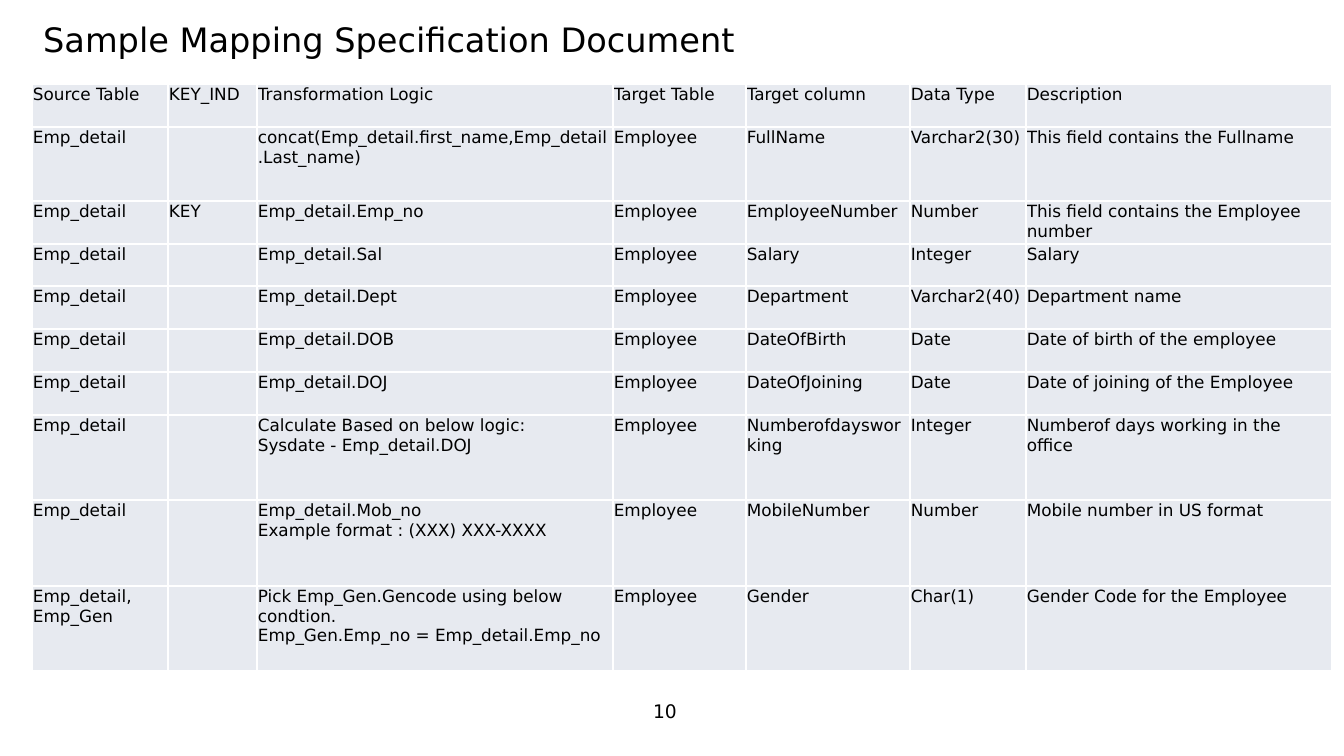
import pptx
import pptx.util
import pptx.dml.color
import pptx.enum.text
import pptx.oxml

SCALE = 914400 / 134.4
HUES = {"ink": "000000", "cell": "E7EAF0", "rule": "FFFFFF"}
FACE = "DejaVu Sans"
MID = pptx.enum.text.MSO_ANCHOR.MIDDLE
COLS = [136, 89, 356, 133, 164, 116, 306]
ROWS = [43, 74, 43, 42, 43, 43, 43, 85, 86, 85]
HEAD = ["Source Table", "KEY_IND", "Transformation Logic", "Target Table",
        "Target column", "Data Type", "Description"]
SRC = "Emp_detail"
MAPS = [
    (SRC, "", "concat(Emp_detail.first_name,Emp_detail.Last_name)",
     "FullName", "Varchar2(30)", "This field contains the Fullname"),
    (SRC, "KEY", "Emp_detail.Emp_no",
     "EmployeeNumber", "Number", "This field contains the Employee number"),
    (SRC, "", "Emp_detail.Sal", "Salary", "Integer", "Salary"),
    (SRC, "", "Emp_detail.Dept",
     "Department", "Varchar2(40)", "Department name"),
    (SRC, "", "Emp_detail.DOB",
     "DateOfBirth", "Date", "Date of birth of the employee"),
    (SRC, "", "Emp_detail.DOJ",
     "DateOfJoining", "Date", "Date of joining of the Employee"),
    (SRC, "", "Calculate Based on below logic:\vSysdate - Emp_detail.DOJ",
     "Numberofdaysworking", "Integer", "Numberof days working in the office"),
    (SRC, "", "Emp_detail.Mob_no \vExample format : (XXX) XXX-XXXX",
     "MobileNumber", "Number", "Mobile number in US format"),
    ("Emp_detail, Emp_Gen", "",
     "Pick Emp_Gen.Gencode using below condtion.\v"
     "Emp_Gen.Emp_no = Emp_detail.Emp_no",
     "Gender", "Char(1)", "Gender Code for the Employee"),
]


def px(size):
    return pptx.util.Emu(round(size * SCALE))


def tint(name):
    return pptx.dml.color.RGBColor.from_string(HUES[name])


def apply(item, form):
    for name, value in form.items():
        setattr(item, name, value)


def write(frame, text, size):
    frame.text = text
    font = {"name": FACE, "size": pptx.util.Pt(size)}
    for para in frame.paragraphs:
        apply(para.font, font)
        for run in para.runs:
            apply(run.font, font)
            run.font.color.rgb = tint("ink")


def label(slide, box, text, size, form):
    frame = slide.shapes.add_textbox(*map(px, box)).text_frame
    apply(frame, {"word_wrap": True, **form})
    write(frame, text, size)


def edge(cell):
    props = cell._tc.get_or_add_tcPr()
    space = pptx.oxml.ns.nsdecls("a")
    for at, side in enumerate(("lnL", "lnR", "lnT", "lnB")):
        props.insert(at, pptx.oxml.parse_xml(
            f'<a:{side} {space} w="12700"><a:solidFill>'
            f'<a:srgbClr val="{HUES["rule"]}"/></a:solidFill></a:{side}>'))


def fill(cell, text):
    apply(cell, {"margin_left": px(1), "margin_right": px(1),
                 "margin_top": px(1), "margin_bottom": 0})
    cell.fill.solid()
    cell.fill.fore_color.rgb = tint("cell")
    write(cell.text_frame, text, 9)
    edge(cell)


def grid(slide, left, top):
    data = [HEAD] + [[*row[:3], "Employee", *row[3:]] for row in MAPS]
    box = (left, top, sum(COLS), sum(ROWS))
    table = slide.shapes.add_table(len(ROWS), len(COLS), *map(px, box)).table
    apply(table, {"first_row": False, "horz_banding": False})
    for col, wide in zip(table.columns, COLS):
        col.width = px(wide)
    for row, tall, texts in zip(table.rows, ROWS, data):
        row.height = px(tall)
        for cell, text in zip(row.cells, texts):
            fill(cell, text)


def main():
    deck = pptx.Presentation()
    apply(deck, {"slide_width": px(1344), "slide_height": px(756)})
    slide = deck.slides.add_slide(deck.slide_layouts[6])
    label(slide, (640, 695, 64, 32), "10", 10, {"vertical_anchor": MID})
    label(slide, (30, 13, 1286, 52), "Sample Mapping Specification Document",
          18, {"vertical_anchor": MID})
    grid(slide, 32, 84)
    deck.save("out.pptx")


if __name__ == "__main__":
    main()
